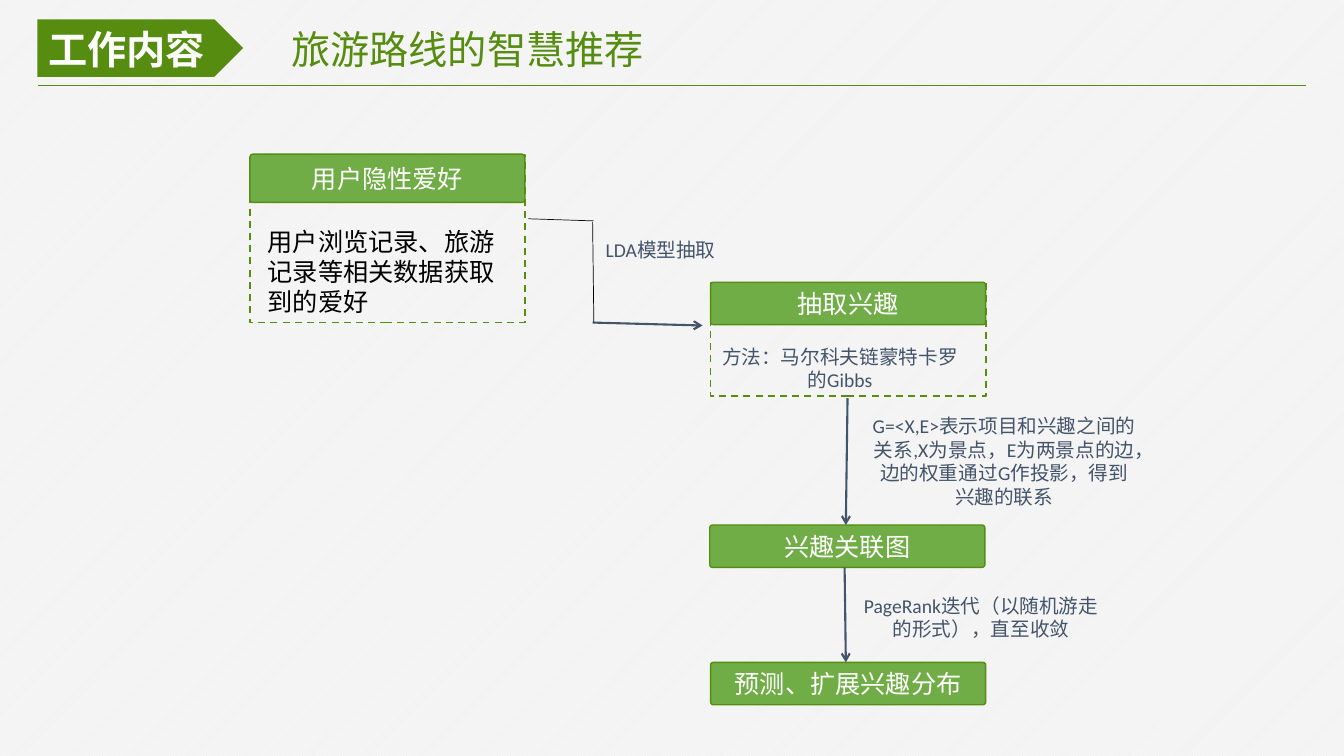
from lxml.etree import SubElement
from pptx import Presentation
from pptx.dml.color import RGBColor
from pptx.enum.dml import MSO_LINE as Dash, MSO_PATTERN as Pattern
from pptx.enum.shapes import MSO_CONNECTOR as Connector, MSO_SHAPE as Shape
from pptx.enum.text import MSO_ANCHOR as Anchor, PP_ALIGN as Align
from pptx.oxml.ns import qn
from pptx.util import Inches, Pt

COLUMNS, ROWS = 32, 18
CELL = Inches(7.5) / ROWS
DARK_GREEN, GREEN, SLATE, WHITE, BLACK = "568D11", "70AD47", "44546A", "FFFFFF", "000000"
CJK_FONT = "Noto Sans CJK SC"
CARD_WIDTH, BAR_HEIGHT = 6.55, 1.01


def color(code):
    return RGBColor.from_string(code)


def cells(*lengths):
    return [round(length * CELL) for length in lengths]


def write(frame, text, size=14, ink=SLATE, font="Calibri", bold=False, align=Align.CENTER):
    frame.word_wrap = True
    for index, words in enumerate(text.split("\n")):
        para = frame.add_paragraph() if index else frame.paragraphs[0]
        para.alignment = align
        span = para.add_run()
        span.text = words
        span.font.size = Pt(size)
        span.font.bold = bold
        span.font.color.rgb = color(ink)
        span.font.name = font
        SubElement(span.font._element, qn("a:ea"), typeface=CJK_FONT)


class FlowSlide:
    """Draw the elements of a flow chart on one slide, measured in grid cells."""

    def __init__(self, deck):
        self.page = deck.slides.add_slide(deck.slide_layouts[6])
        fill = self.page.background.fill
        fill.patterned()
        fill.pattern = Pattern.LIGHT_UPWARD_DIAGONAL
        fill.fore_color.rgb = color(WHITE)
        fill.back_color.rgb = color("F2F2F2")

    def shape(self, kind, area, fill=None, line=None, width=1):
        box = self.page.shapes.add_shape(kind, *cells(*area))
        box.shadow.inherit = False
        if fill:
            box.fill.solid()
            box.fill.fore_color.rgb = color(fill)
        else:
            box.fill.background()
        if line:
            box.line.color.rgb = color(line)
            box.line.width = Pt(width)
        else:
            box.line.fill.background()
        return box

    def frame(self, *area):
        box = self.shape(Shape.RECTANGLE, area, line=DARK_GREEN, width=1.25)
        box.line.dash_style = Dash.DASH

    def bar(self, left, top, text, height=BAR_HEIGHT):
        area = (left, top, CARD_WIDTH, height)
        box = self.shape(Shape.ROUNDED_RECTANGLE, area, fill=GREEN, line=DARK_GREEN)
        box.adjustments[0] = 0.065
        box.text_frame.vertical_anchor = Anchor.MIDDLE
        write(box.text_frame, text, size=18, ink=WHITE)

    def text(self, area, text, **style):
        box = self.page.shapes.add_textbox(*cells(*area))
        write(box.text_frame, text, **style)

    def line(self, start, end, ink=SLATE, width=1.5, arrow=False):
        link = self.page.shapes.add_connector(Connector.STRAIGHT, *cells(*start, *end))
        link.line.color.rgb = color(ink)
        link.line.width = Pt(width)
        if arrow:
            SubElement(link.line._get_or_add_ln(), qn("a:tailEnd"), type="arrow")
        SubElement(link._element.spPr, qn("a:effectLst"))


def draw_header(slide):
    heading = {"size": 28, "font": CJK_FONT, "align": Align.LEFT}
    slide.text((6.7, 0.48, 18.74, 1.37), "旅游路线的智慧推荐", ink=DARK_GREEN, **heading)
    slide.shape(Shape.PENTAGON, (0.89, 0.46, 4.9, 1.37), fill=DARK_GREEN)
    slide.text((0.91, 0.48, 4.22, 1.37), "工作内容", ink=WHITE, bold=True, **heading)
    slide.line((0.91, 2.04), (31.1, 2.04), ink=DARK_GREEN, width=1)


def draw_flow(slide):
    slide.frame(16.92, 6.74, CARD_WIDTH, 2.69)
    slide.frame(5.95, 3.7, CARD_WIDTH, 3.98)

    slide.bar(5.95, 3.67, "用户隐性爱好", height=1.15)
    slide.bar(16.92, 6.72, "抽取兴趣")
    slide.bar(16.9, 12.5, "兴趣关联图")
    slide.bar(16.92, 15.77, "预测、扩展兴趣分布")

    for start, end in (
        ((14.11, 7.68), (16.73, 7.75)),
        ((20.18, 9.48), (20.14, 12.5)),
        ((20.11, 13.51), (20.14, 15.77)),
    ):
        slide.line(start, end, arrow=True)
    slide.line((12.58, 5.21), (14.14, 5.26), ink="0D0D0D", width=0.5)
    slide.line((14.11, 5.28), (14.14, 7.68), ink=BLACK, width=0.5)

    slide.text((6.14, 5.26, 6.17, 2.42), "用户浏览记录、旅游记录等相关数据获取到的爱好",
               size=18, ink=BLACK, align=Align.LEFT)
    slide.text((14.18, 5.54, 3.1, 0.82), "LDA模型抽取")
    slide.text((16.87, 8.09, 6.26, 1.37), "方法：马尔科夫链蒙特卡罗\n的Gibbs")
    slide.text((20.54, 9.74, 6.74, 2.5),
               "G=<X,E>表示项目和兴趣之间的关系,X为景点，E为两景点的边，"
               "边的权重通过G作投影，得到兴趣的联系")
    slide.text((20.18, 14.02, 6.36, 1.37), "PageRank迭代（以随机游走的形式），直至收敛")


def main():
    deck = Presentation()
    deck.slide_width, deck.slide_height = cells(COLUMNS, ROWS)
    slide = FlowSlide(deck)
    draw_header(slide)
    draw_flow(slide)
    deck.save("out.pptx")


if __name__ == "__main__":
    main()
